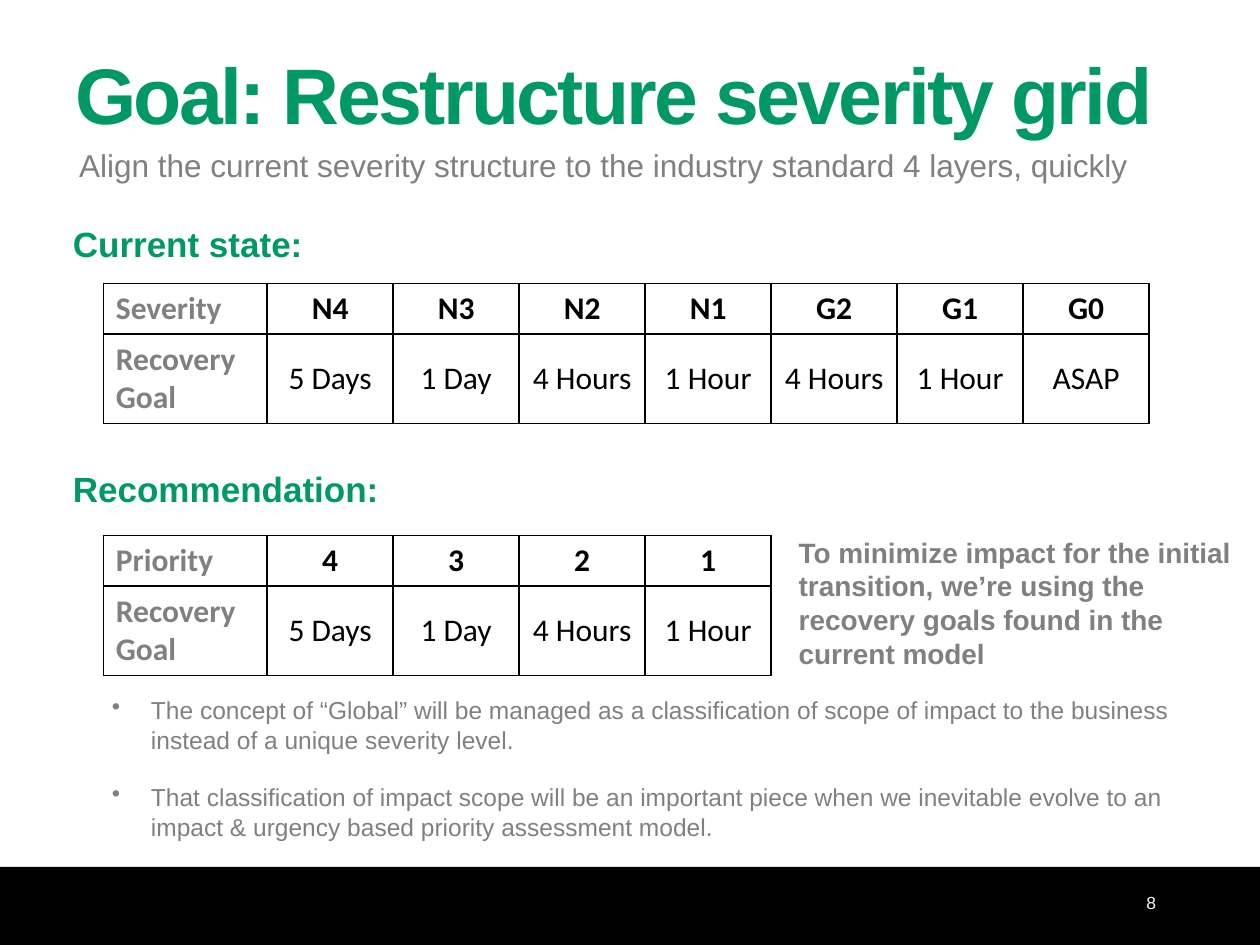
from dataclasses import dataclass

from lxml import etree
from pptx import Presentation
from pptx.dml.color import RGBColor
from pptx.enum import shapes, text
from pptx.oxml import ns
from pptx.util import Inches, Pt

GREEN, GRAY, BLACK, WHITE = "009966", "808080", "000000", "FFFFFF"


@dataclass
class Grid:
    top: float
    label: str
    levels: list[str]
    goals: list[str]


@dataclass
class Label:
    text: str
    box: tuple[float, float, float, float]
    fmt: dict


def rgb(value: str) -> RGBColor:
    return RGBColor.from_string(value)


def write(p, content: str, *, size: float, color: str = GRAY, font: str = "Arial",
          bold: bool = False, spacing: int = 0, align=None) -> None:
    """Add one formatted run to a paragraph; spacing is in 1/100 pt."""
    r = p.add_run()
    r.text = content
    r.font.size, r.font.name, r.font.bold = Pt(size), font, bold
    r.font.color.rgb = rgb(color)
    if spacing:
        r.font._element.set("spc", str(spacing))
    if align is not None:
        p.alignment = align


def add_box(s, box: tuple[float, float, float, float], anchor=text.MSO_ANCHOR.TOP):
    tf = s.shapes.add_textbox(*map(Inches, box)).text_frame
    tf.word_wrap = True
    tf.vertical_anchor = anchor
    return tf


def add_bullets(s, box: tuple[float, float, float, float], items: list[str]) -> None:
    tf = add_box(s, box)
    for i, item in enumerate(items):
        p = tf.add_paragraph() if i else tf.paragraphs[0]
        if i:
            p.space_before = Pt(16)
        write(p, item, size=14)
        pPr = p._p.get_or_add_pPr()
        pPr.set("marL", str(Inches(0.31)))
        pPr.set("indent", str(-Inches(0.31)))
        etree.SubElement(pPr, ns.qn("a:buChar")).set("char", "•")


def style_cell(cell) -> None:
    """White cell with a thin black border on every side."""
    tcPr = cell._tc.get_or_add_tcPr()
    for side in ("lnL", "lnR", "lnT", "lnB"):
        ln = etree.SubElement(tcPr, ns.qn(f"a:{side}"), w=str(Pt(1)))
        fill = etree.SubElement(ln, ns.qn("a:solidFill"))
        etree.SubElement(fill, ns.qn("a:srgbClr"), val=BLACK)
    cell.fill.solid()
    cell.fill.fore_color.rgb = rgb(WHITE)
    cell.vertical_anchor = text.MSO_ANCHOR.MIDDLE


def add_grid(s, grid: Grid) -> None:
    rows = [[grid.label, *grid.levels], ["Recovery Goal", *grid.goals]]
    widths = [1.3] + [1] * len(grid.levels)
    heights = [0.4, 0.71]
    table = s.shapes.add_table(len(rows), len(widths), Inches(0.82), Inches(grid.top),
                               Inches(sum(widths)), Inches(sum(heights))).table
    for col, width in zip(table.columns, widths):
        col.width = Inches(width)
    for i, values in enumerate(rows):
        table.rows[i].height = Inches(heights[i])
        for j, value in enumerate(values):
            cell = table.cell(i, j)
            style_cell(cell)
            write(cell.text_frame.paragraphs[0], value, size=18, font="Calibri",
                  color=BLACK if j else GRAY, bold=i == 0 or j == 0,
                  align=text.PP_ALIGN.CENTER if j else text.PP_ALIGN.LEFT)


HEADING = dict(size=20, color=GREEN, bold=True)
LABELS = [
    Label("Align the current severity structure to the industry standard 4 layers, quickly",
          (0.53, 1.11, 9.3, 0.39), dict(size=18)),
    Label("8", (9, 7.03, 0.83, 0.32), dict(size=10, color="F2F2F2")),
    Label("Current state:", (0.48, 1.72, 9, 0.42), HEADING),
    Label("Recommendation:", (0.48, 3.66, 9, 0.42), HEADING),
    Label("To minimize impact for the initial transition, we’re using the recovery goals "
          "found in the current model", (6.24, 4.2, 3.65, 1.17), dict(size=16, bold=True)),
]
GRIDS = [
    Grid(2.25, "Severity", ["N4", "N3", "N2", "N1", "G2", "G1", "G0"],
         ["5 Days", "1 Day", "4 Hours", "1 Hour", "4 Hours", "1 Hour", "ASAP"]),
    Grid(4.25, "Priority", ["4", "3", "2", "1"], ["5 Days", "1 Day", "4 Hours", "1 Hour"]),
]
BULLETS = [
    "The concept of “Global” will be managed as a classification of scope of impact to the "
    "business instead of a unique severity level.",
    "That classification of impact scope will be an important piece when we inevitable evolve "
    "to an impact & urgency based priority assessment model.",
]


def main() -> None:
    prs = Presentation()
    prs.slide_width, prs.slide_height = Inches(10), Inches(7.5)
    s = prs.slides.add_slide(prs.slide_layouts[6])

    # Footer band
    sp = s.shapes.add_shape(shapes.MSO_SHAPE.RECTANGLE, Inches(0), Inches(6.88),
                            Inches(10), Inches(0.62))
    sp.shadow.inherit = False
    sp.fill.solid()
    sp.fill.fore_color.rgb = rgb(BLACK)
    sp.line.fill.background()

    # Title
    tf = add_box(s, (0.5, 0.3, 9, 0.87), text.MSO_ANCHOR.MIDDLE)
    write(tf.paragraphs[0], "Goal: Restructure severity grid", size=45, color=GREEN,
          bold=True, spacing=-150)

    # Subtitle, headings, side note and page number
    for label in LABELS:
        write(add_box(s, label.box).paragraphs[0], label.text, **label.fmt)

    # Severity tables
    for grid in GRIDS:
        add_grid(s, grid)

    # Closing points
    add_bullets(s, (0.79, 5.47, 8.86, 1.42), BULLETS)

    prs.save("out.pptx")


if __name__ == "__main__":
    main()
